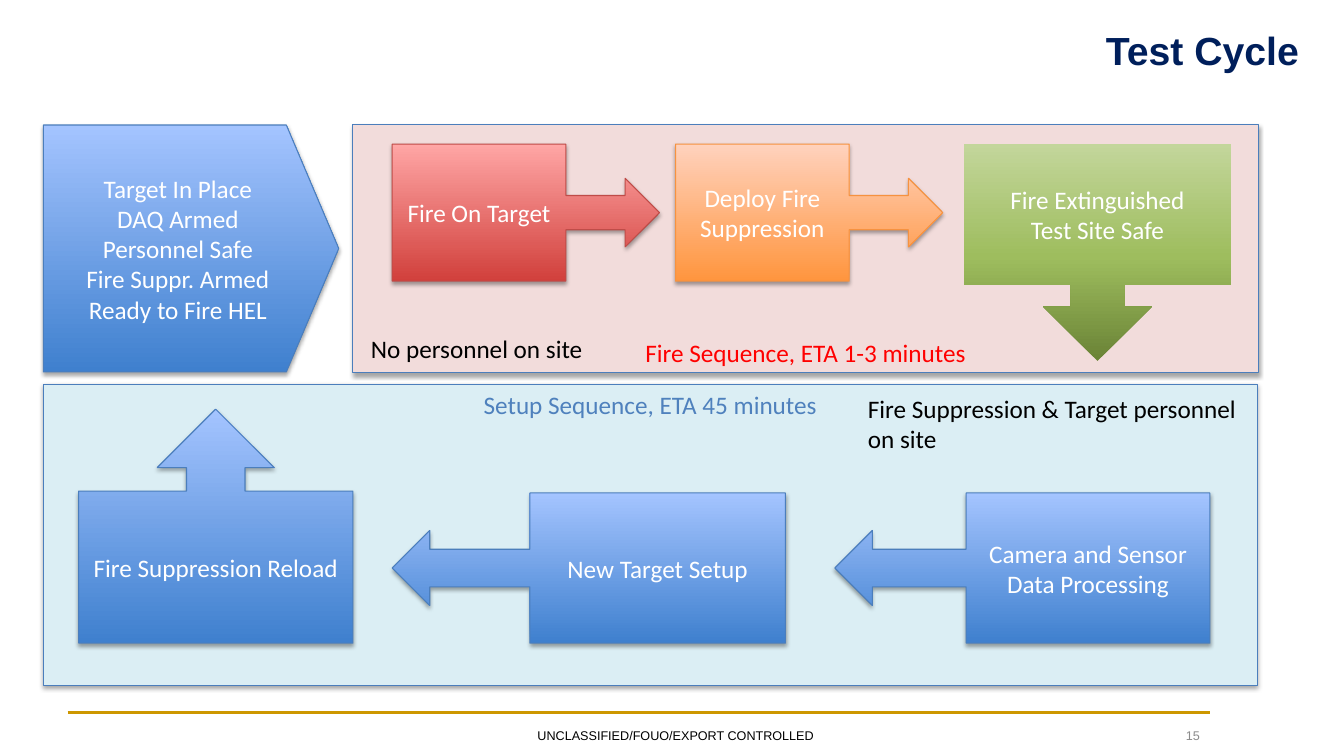
from copy import deepcopy

from lxml import etree
from pptx import Presentation
from pptx.dml.color import RGBColor
from pptx.enum.shapes import MSO_CONNECTOR, MSO_SHAPE
from pptx.enum.text import MSO_ANCHOR, PP_ALIGN
from pptx.oxml.ns import qn
from pptx.util import Inches, Pt

LEFT, MID, RIGHT = PP_ALIGN.LEFT, PP_ALIGN.CENTER, PP_ALIGN.RIGHT
TOP, CENTER, BOTTOM = MSO_ANCHOR.TOP, MSO_ANCHOR.MIDDLE, MSO_ANCHOR.BOTTOM
RECT, PLATE = MSO_SHAPE.RECTANGLE, MSO_SHAPE.PENTAGON
TO_LEFT, TO_RIGHT = MSO_SHAPE.LEFT_ARROW_CALLOUT, MSO_SHAPE.RIGHT_ARROW_CALLOUT
TO_TOP, TO_BASE = MSO_SHAPE.UP_ARROW_CALLOUT, MSO_SHAPE.DOWN_ARROW_CALLOUT

COLORS = {
    "navy": "001F5B", "gold": "CD9700", "black": "000000", "white": "FFFFFF",
    "gray": "8C8C8C", "red": "FF0000", "blue": "4F81BD",
    "aqua": "DBEEF4", "pink": "F2DCDB",
    "blue line": "4B7EBC", "red line": "BF4C48", "orange line": "F69240",
}
# Gradient stops run from the bottom of a shape to its top
GRADES = {
    "blue": [(0, "3F80CE"), (1, "A4C4FF")],
    "red": [(0, "D1403C"), (1, "FFA6A5")],
    "orange": [(0, "FF953E"), (1, "FFD2BD")],
    "green": [(0, "6A8336"), (0.48, "9EBD5E"), (1, "C3D69B")],
}

deck = Presentation()
deck.slide_width, deck.slide_height = Inches(13.33), Inches(7.5)
slide = deck.slides.add_slide(deck.slide_layouts[6])
shapes = slide.shapes


def write(text, box, *, size=18, font="Calibri", color="white", bold=False,
          align=MID, anchor=CENTER, wrap=True):
    frame = box.text_frame
    frame.word_wrap = wrap
    frame.vertical_anchor = anchor
    frame.text = text
    for line in frame.paragraphs:
        line.alignment = align
        line.font.size, line.font.name = Pt(size), font
        line.font.bold = bold
        line.font.color.rgb = RGBColor.from_string(COLORS[color])


def draw(kind, place, edge):
    shape = shapes.add_shape(kind, *map(Inches, place))
    shape.shadow.inherit = False
    if not edge:
        shape.line.fill.background()
        return shape
    shape.line.color.rgb = RGBColor.from_string(COLORS[edge])
    shape.line.width = Pt(0.75)
    effects = shape._element.spPr.find(qn("a:effectLst"))
    shade = etree.SubElement(effects, qn("a:outerShdw"), blurRad=str(Pt(3.1)),
                             dist=str(Pt(1.8)), dir="5400000", rotWithShape="0")
    tint = etree.SubElement(shade, qn("a:srgbClr"), val=COLORS["black"])
    etree.SubElement(tint, qn("a:alpha"), val="35000")
    return shape


# Footer rule
rule = shapes.add_connector(MSO_CONNECTOR.STRAIGHT, Inches(0.67), Inches(7.07),
                            Inches(12), Inches(7.07))
rule.line.color.rgb = RGBColor.from_string(COLORS["gold"])
rule.line.width = Pt(2)
etree.SubElement(rule._element.spPr, qn("a:effectLst"))

# Sequence panels
panels = [
    ("Setup Sequence, ETA 45 minutes", (0.43, 3.81, 12.04, 2.99), "aqua", "blue", TOP),
    ("Fire Sequence, ETA 1-3 minutes", (3.5, 1.24, 8.98, 2.46), "pink", "red", BOTTOM),
]
for text, place, fill, color, anchor in panels:
    panel = draw(RECT, place, "blue line")
    panel.fill.solid()
    panel.fill.fore_color.rgb = RGBColor.from_string(COLORS[fill])
    write(text, panel, color=color, anchor=anchor)

# Steps of the cycle
steps = [
    ("Fire On Target", TO_RIGHT, (3.89, 1.43, 2.65, 1.36), "red", "red line"),
    ("Deploy Fire Suppression", TO_RIGHT, (6.7, 1.43, 2.65, 1.36), "orange", "orange line"),
    ("Fire Extinguished\nTest Site Safe", TO_BASE, (9.56, 1.43, 2.65, 2.15), "green", None),
    ("Camera and Sensor Data Processing", TO_LEFT, (8.28, 4.89, 3.72, 1.49), "blue", "blue line"),
    ("New Target Setup", TO_LEFT, (3.89, 4.89, 3.9, 1.49), "blue", "blue line"),
    ("Fire Suppression Reload", TO_TOP, (0.78, 4.06, 2.72, 2.32), "blue", "blue line"),
    ("Target In Place\nDAQ Armed\nPersonnel Safe\nFire Suppr. Armed\nReady to Fire HEL",
     PLATE, (0.43, 1.24, 2.93, 2.45), "blue", "blue line"),
]
for text, kind, place, grade, edge in steps:
    step = draw(kind, place, edge)
    if kind == PLATE:
        step.adjustments[0] = 0.212
    step.fill.gradient()
    step.fill.gradient_angle = 90
    stops = step._element.spPr.find(qn("a:gradFill")).find(qn("a:gsLst"))
    while len(stops) < len(GRADES[grade]):
        stops.append(deepcopy(stops[0]))
    for stop, (place, color) in zip(step.fill.gradient_stops, GRADES[grade]):
        stop.position = place
        stop.color.rgb = RGBColor.from_string(color)
    write(text, step)

# Title, footer and notes on staff
labels = [
    ("Test Cycle", (3.05, 0.16, 9.93, 0.66),
     dict(size=28, font="Arial", color="navy", bold=True, align=RIGHT)),
    ("UNCLASSIFIED/FOUO/EXPORT CONTROLLED", (4.34, 7.14, 4.72, 0.31),
     dict(size=9, font="Arial", color="black")),
    ("15", (9.56, 7.14, 2.44, 0.31),
     dict(size=9, font="Arial", color="gray", align=RIGHT)),
    ("No personnel on site", (3.58, 3.26, 2.33, 0.4),
     dict(color="black", align=LEFT, anchor=TOP, wrap=False)),
    ("Fire Suppression & Target personnel on site", (8.51, 3.85, 3.97, 0.71),
     dict(color="black", align=LEFT, anchor=TOP)),
]
for text, place, style in labels:
    write(text, shapes.add_textbox(*map(Inches, place)), **style)

deck.save("out.pptx")
